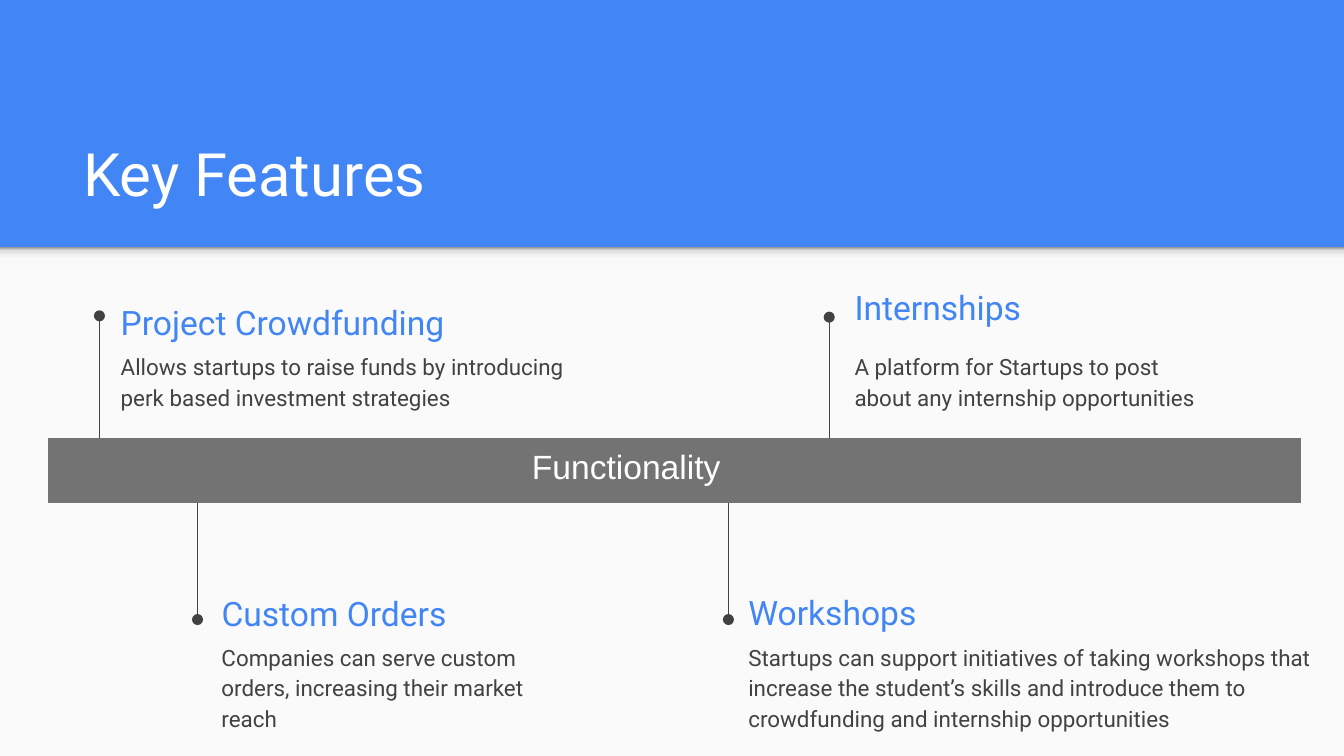
"""Build the Key Features slide with four callouts around a functionality bar."""
import copy
from dataclasses import dataclass

import pptx
import pptx.dml.color
import pptx.enum.shapes
import pptx.enum.text
import pptx.oxml
import pptx.oxml.ns
import pptx.oxml.xmlchemy
import pptx.util

Inches = pptx.util.Inches
Pt = pptx.util.Pt
qn = pptx.oxml.ns.qn
ANCHOR = pptx.enum.text.MSO_ANCHOR


@dataclass(frozen=True)
class Theme:
    """Colours, fonts and type sizes of the slide."""
    blue: str = "4285F4"
    paper: str = "FAFAFA"
    white: str = "FFFFFF"
    dark: str = "424242"
    bar: str = "737373"
    shade: tuple = ((0, "F9F9F9"), (0.36, "F9F9F9"), (0.8, "DEDEDE"), (1, "999999"))
    font: str = "Roboto"
    bar_font: str = "Arial"
    title: int = 32
    heading: int = 18
    body: int = 12


THEME = Theme()
NO_STYLE = "{2D5ABB26-0587-4C30-8999-92F81FD0307C}"
SLIDE_WIDTH = 10
SLIDE_HEIGHT = SLIDE_WIDTH * 9 / 16
HEADER_HEIGHT = 1.84
BAR_WIDTH = 9.32
WIDE_COLUMN = (BAR_WIDTH - 0.42 * 2 - 1.49) / 9
BAR_COLUMNS = [WIDE_COLUMN, 0.42, 1.49, 0.42] + [WIDE_COLUMN] * 8
CALLOUTS = [
    dict(line=(0.74, 3.27, 2.35), left=0.8, head_top=2.18, head_width=2.81,
         body_top=2.5, body_width=3.83, head="Project Crowdfunding",
         body="Allows startups to raise funds by introducing perk based investment strategies"),
    dict(line=(1.47, 3.69, 4.61), left=1.55, head_top=4.35, head_width=1.98,
         body_top=4.66, body_width=2.87, head="Custom Orders",
         body="Companies can serve custom orders, increasing their market reach"),
    dict(line=(6.17, 3.27, 2.36), left=6.26, head_top=2.07, head_width=1.98,
         body_top=2.5, body_width=2.78, head="Internships",
         body="A platform for Startups to post about any internship opportunities"),
    dict(line=(5.42, 3.69, 4.61), left=5.47, head_top=4.34, head_width=1.98,
         body_top=4.66, body_width=4.44, head="Workshops",
         body="Startups can support initiatives of taking workshops that increase the "
              "student’s skills and introduce them to crowdfunding and internship opportunities"),
]


def rgb(value):
    """Turn a hex string into a colour."""
    return pptx.dml.color.RGBColor.from_string(value)


def apply(target, values):
    """Set each attribute named in a dict of format values."""
    for name, value in values.items():
        setattr(target, name, value)


def paint(fill, color):
    """Make a fill solid in one colour."""
    fill.solid()
    fill.fore_color.rgb = rgb(color)


def add_rect(s, top, height):
    """Add a full-width rectangle without outline or shadow."""
    sp = s.shapes.add_shape(pptx.enum.shapes.MSO_SHAPE.RECTANGLE,
                            *map(Inches, (0, top, SLIDE_WIDTH, height)))
    sp.shadow.inherit = False
    sp.line.fill.background()
    return sp


def add_shade(s):
    """Add the soft gradient strip below the header."""
    sp = add_rect(s, HEADER_HEIGHT, 0.12)
    sp.fill.gradient()
    sp.fill.gradient_angle = 90
    stops = sp._element.spPr.find(qn("a:gradFill")).find(qn("a:gsLst"))
    for _ in range(len(THEME.shade) - len(stops)):
        stops.append(copy.deepcopy(stops[0]))
    for stop, (position, color) in zip(sp.fill.gradient_stops, THEME.shade):
        stop.position = position
        stop.color.rgb = rgb(color)


def add_text(s, box, text, size, color, font=THEME.font, anchor=ANCHOR.MIDDLE, indent=0, **spacing):
    """Add a one-paragraph text box."""
    tf = s.shapes.add_textbox(*map(Inches, box)).text_frame
    inset = Inches(0.1)
    apply(tf, dict(word_wrap=True, vertical_anchor=anchor, margin_left=inset,
                   margin_right=inset, margin_top=inset, margin_bottom=inset))
    p = tf.paragraphs[0]
    apply(p, spacing)
    if indent:
        apply_indent = p._p.get_or_add_pPr().set
        apply_indent("marL", str(Inches(indent)))
        apply_indent("indent", "0")
    r = p.add_run()
    r.text = text
    apply(r.font, dict(name=font, size=Pt(size)))
    r.font.color.rgb = rgb(color)


def add_pin(s, x, start, end):
    """Add a vertical line with a round end."""
    line = s.shapes.add_connector(pptx.enum.shapes.MSO_CONNECTOR.STRAIGHT,
                                  *map(Inches, (x, start, x, end)))
    line.line.width = Pt(0.75)
    line.line.color.rgb = rgb(THEME.dark)
    tail = pptx.oxml.xmlchemy.OxmlElement("a:tailEnd")
    tail.set("type", "oval")
    line.line._get_or_add_ln().append(tail)
    line._element.spPr.append(pptx.oxml.xmlchemy.OxmlElement("a:effectLst"))


def add_callout(s, item):
    """Add a pin with its heading and description."""
    add_pin(s, *item["line"])
    add_text(s, (item["left"], item["head_top"], item["head_width"], 0.43),
             item["head"], THEME.heading, THEME.blue)
    add_text(s, (item["left"], item["body_top"], item["body_width"], 0.63),
             item["body"], THEME.body, THEME.dark, anchor=ANCHOR.TOP,
             line_spacing=1.15, space_after=Pt(16))


def add_bar(s):
    """Add the one-row table that forms the central bar."""
    frame = s.shapes.add_table(1, len(BAR_COLUMNS), *map(Inches, (0.36, 3.26, BAR_WIDTH, 0.48)))
    table = frame.table
    table._tbl.tblPr.find(qn("a:tableStyleId")).text = NO_STYLE
    for column, width in zip(table.columns, BAR_COLUMNS):
        column.width = Inches(width)
    for cell in table.iter_cells():
        paint(cell.fill, THEME.bar)


def main():
    """Build and save the slide."""
    prs = pptx.Presentation()
    apply(prs, dict(slide_width=Inches(SLIDE_WIDTH), slide_height=Inches(SLIDE_HEIGHT)))
    s = prs.slides.add_slide(prs.slide_layouts[6])
    paint(s.background.fill, THEME.blue)
    paint(add_rect(s, HEADER_HEIGHT, SLIDE_HEIGHT - HEADER_HEIGHT).fill, THEME.paper)
    add_shade(s)
    add_text(s, (0.52, 0.81, 8.99, 0.84), "Key Features", THEME.title, THEME.white,
             anchor=ANCHOR.BOTTOM, space_after=Pt(4))
    for item in CALLOUTS:
        add_callout(s, item)
    add_bar(s)
    add_text(s, (1.36, 3.27, 6.83, 0.39), "Functionality", THEME.heading, THEME.white,
             font=THEME.bar_font, indent=2.5)
    prs.save("out.pptx")


if __name__ == "__main__":
    main()
